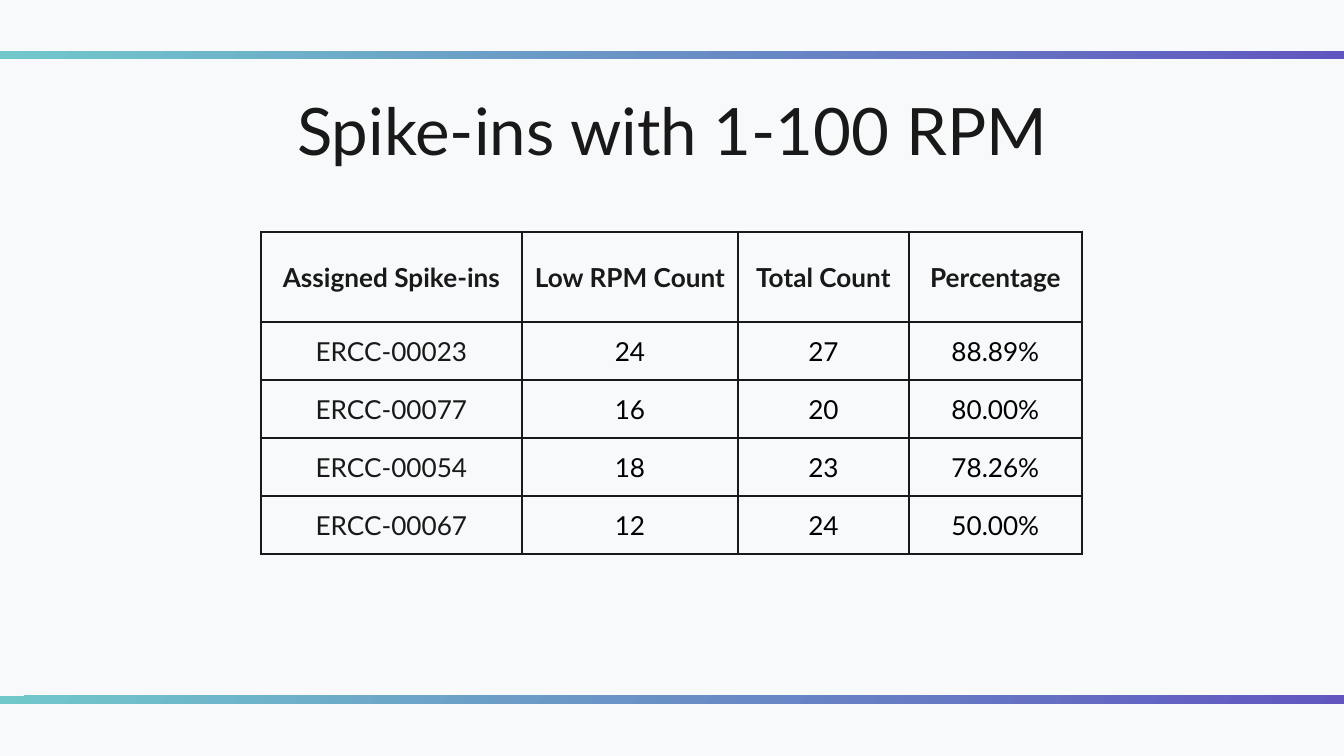
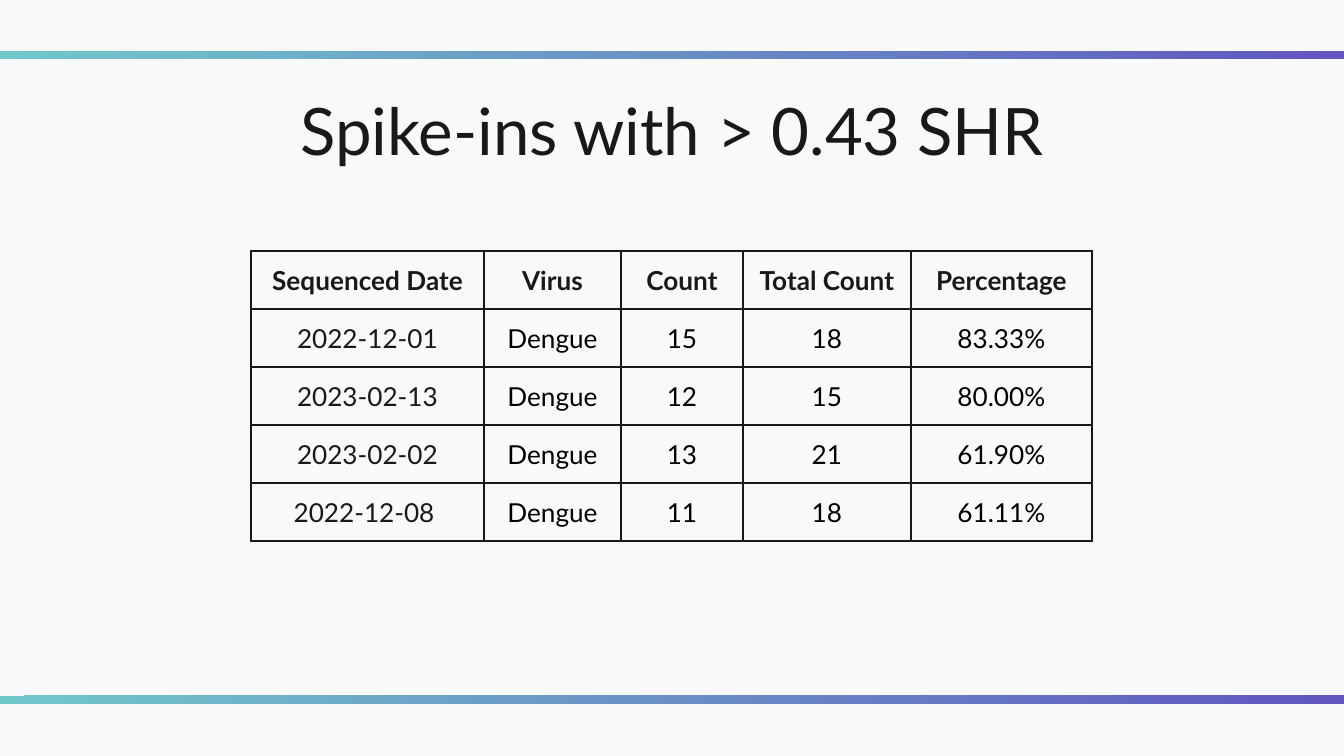
import lxml.etree
import pptx
import pptx.dml.color
import pptx.enum.shapes
import pptx.enum.text
import pptx.oxml.ns
import pptx.util

EMU_PER_PX = 9144000 / 1344
INK = "191919"
BLACK = "000000"
BACKDROP = "F7F9FA"
BAND_COLOURS = ["71C8CB", "6156C0"]
BAND_TOPS = [51, 696]
INSET = 13
ROW_HEIGHT = 58


def px(length):
    return pptx.util.Emu(round(length * EMU_PER_PX))


def write(frame, text, size, colour, bold=False):
    paragraph = frame.paragraphs[0]
    paragraph.alignment = pptx.enum.text.PP_ALIGN.CENTER
    run = paragraph.add_run()
    run.text = text
    run.font.name = "Lato"
    run.font.size = pptx.util.Pt(size)
    run.font.bold = bold
    run.font.color.rgb = pptx.dml.color.RGBColor.from_string(colour)


pages = [
    {
        "title": "Spike-ins with 1-100 RPM",
        "left": 261,
        "top": 232,
        "header_height": 90,
        "widths": [261, 216, 171, 173],
        "rows": [
            ["Assigned Spike-ins", "Low RPM Count", "Total Count", "Percentage"],
            ["ERCC-00023", "24", "27", "88.89%"],
            ["ERCC-00077", "16", "20", "80.00%"],
            ["ERCC-00054", "18", "23", "78.26%"],
            ["ERCC-00067", "12", "24", "50.00%"],
        ],
    },
    {
        "title": "Spike-ins with > 0.43 SHR",
        "left": 251,
        "top": 251,
        "header_height": ROW_HEIGHT,
        "widths": [233, 137, 122, 168, 181],
        "rows": [
            ["Sequenced Date", "Virus", "Count", "Total Count", "Percentage"],
            ["2022-12-01", "Dengue", "15", "18", "83.33%"],
            ["2023-02-13", "Dengue", "12", "15", "80.00%"],
            ["2023-02-02", "Dengue", "13", "21", "61.90%"],
            ["2022-12-08 ", "Dengue", "11", "18", "61.11%"],
        ],
    },
]

deck = pptx.Presentation()
deck.slide_width = px(1344)
deck.slide_height = px(756)
backdrop = deck.slide_master.background.fill
backdrop.solid()
backdrop.fore_color.rgb = pptx.dml.color.RGBColor.from_string(BACKDROP)

for page in pages:
    slide = deck.slides.add_slide(deck.slide_layouts[6])

    for band_top in BAND_TOPS:
        band = slide.shapes.add_shape(
            pptx.enum.shapes.MSO_SHAPE.ROUNDED_RECTANGLE, 0, px(band_top), px(1344), px(8))
        band.adjustments[0] = 0
        band.shadow.inherit = False
        band.line.fill.background()
        band.fill.gradient()
        band.fill.gradient_angle = 315
        for stop, colour in zip(band.fill.gradient_stops, BAND_COLOURS):
            stop.color.rgb = pptx.dml.color.RGBColor.from_string(colour)

    title = slide.shapes.add_textbox(px(106), px(77), px(1133), px(85)).text_frame
    title.word_wrap = True
    title.margin_left = title.margin_right = px(INSET)
    title.margin_top = title.margin_bottom = px(INSET)
    write(title, page["title"], 35, INK)

    rows, widths = page["rows"], page["widths"]
    heights = [page["header_height"]] + [ROW_HEIGHT] * (len(rows) - 1)
    counts = slide.shapes.add_table(
        len(rows), len(widths), px(page["left"]), px(page["top"]),
        px(sum(widths)), px(sum(heights))).table
    counts.first_row = False
    counts.horz_banding = False
    for column, width in zip(counts.columns, widths):
        column.width = px(width)

    for r, values in enumerate(rows):
        counts.rows[r].height = px(heights[r])
        for c, value in enumerate(values):
            cell = counts.cell(r, c)
            cell.vertical_anchor = pptx.enum.text.MSO_ANCHOR.MIDDLE
            cell.margin_left = cell.margin_right = px(INSET)
            cell.margin_top = cell.margin_bottom = px(INSET)
            write(cell.text_frame, value, 14, INK if r == 0 or c == 0 else BLACK, r == 0)
            properties = cell._tc.get_or_add_tcPr()
            for side in ["lnL", "lnR", "lnT", "lnB"]:
                border = lxml.etree.SubElement(
                    properties, pptx.oxml.ns.qn("a:" + side), w=str(pptx.util.Pt(1.5)))
                paint = lxml.etree.SubElement(border, pptx.oxml.ns.qn("a:solidFill"))
                lxml.etree.SubElement(paint, pptx.oxml.ns.qn("a:srgbClr"), val=INK)
            cell.fill.background()

deck.save("out.pptx")
